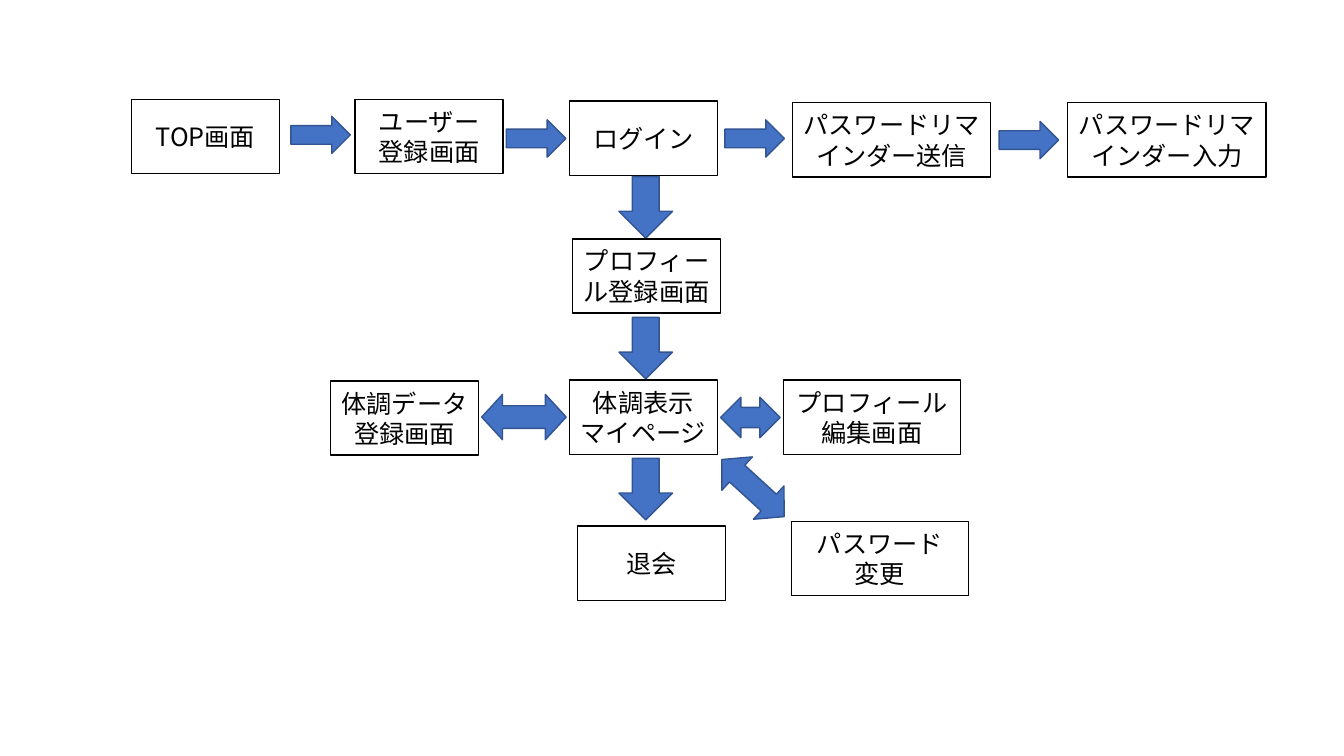
import pptx
import pptx.dml.color
import pptx.enum.shapes
import pptx.enum.text
import pptx.oxml
import pptx.oxml.ns
import pptx.util

Cm = pptx.util.Cm
MSO = pptx.enum.shapes.MSO_SHAPE
COLORS = {"paper": "FFFFFF", "ink": "000000", "arrow": "4472C4", "arrow_edge": "325491"}
FONT = "Noto Sans CJK JP"
SCREEN_HEIGHT = 1.87
NARROW, MEDIUM, WIDE = 3.73, 4.47, 5.0
STEP_SIZE = (1.5, 0.94)
DOWN_SIZE = (1.35, 1.55)
RETURN_SIZE = (2.13, 1.14)


def color(name):
    return pptx.dml.color.RGBColor.from_string(COLORS[name])


def add_outlined(slide, kind, box, fill, edge):
    outlined = slide.shapes.add_shape(kind, *(Cm(length) for length in box))
    outlined.shadow.inherit = False
    outlined.fill.solid()
    outlined.fill.fore_color.rgb = color(fill)
    outlined.line.color.rgb = color(edge)
    outlined.line.width = pptx.util.Pt(1)
    return outlined


def add_screen(slide, left, top, width, *lines):
    screen = add_outlined(slide, MSO.RECTANGLE, (left, top, width, SCREEN_HEIGHT), "paper", "ink")
    label = screen.text_frame
    label.word_wrap = True
    label.vertical_anchor = pptx.enum.text.MSO_ANCHOR.MIDDLE
    for number, line in enumerate(lines):
        paragraph = label.add_paragraph() if number else label.paragraphs[0]
        paragraph.alignment = pptx.enum.text.PP_ALIGN.CENTER
        run = paragraph.add_run()
        run.text = line
        run.font.size = pptx.util.Pt(18)
        run.font.name = FONT
        run.font.color.rgb = color("ink")
        east_asian = pptx.oxml.parse_xml(
            f'<a:ea {pptx.oxml.ns.nsdecls("a")} typeface="{FONT}"/>')
        run.font._element.append(east_asian)


def add_arrow(slide, kind, left, top, size, head=None, rotation=0):
    arrow = add_outlined(slide, kind, (left, top, *size), "arrow", "arrow_edge")
    arrow.rotation = rotation
    if head:
        arrow.adjustments[1] = head


def add_login_row(slide, left, top):
    screens = [
        (0, 0, NARROW, "TOP画面"),
        (5.64, 0, NARROW, "ユーザー", "登録画面"),
        (11.05, 0.04, NARROW, "ログイン"),
        (16.66, 0.08, WIDE, "パスワードリマインダー送信"),
        (23.6, 0.08, WIDE, "パスワードリマインダー入力"),
    ]
    for x, y, width, *lines in screens:
        add_screen(slide, left + x, top + y, width, *lines)
    for x, y in [(4.02, 0.42), (9.45, 0.51), (14.96, 0.51), (21.87, 0.55)]:
        add_arrow(slide, MSO.RIGHT_ARROW, left + x, top + y, STEP_SIZE)


def add_member_column(slide, left, top):
    screens = [
        (0.08, 1.57, "プロフィール登録画面"),
        (0, 5.13, "体調表示", "マイページ"),
        (0.2, 8.81, "退会"),
    ]
    for number, (x, y, *lines) in enumerate(screens):
        add_arrow(slide, MSO.DOWN_ARROW, left + 1.25, top + 3.55 * number, DOWN_SIZE)
        add_screen(slide, left + x, top + y, NARROW, *lines)


def add_my_page_branches(slide, left, top):
    add_screen(slide, left, top + 0.02, NARROW, "体調データ", "登録画面")
    add_screen(slide, left + 11.41, top, MEDIUM, "プロフィール編集画面")
    add_screen(slide, left + 11.61, top + 3.56, MEDIUM, "パスワード", "変更")
    add_arrow(slide, MSO.LEFT_RIGHT_ARROW, left + 3.81, top + 0.36, RETURN_SIZE, 0.46)
    add_arrow(slide, MSO.LEFT_RIGHT_ARROW, left + 9.83, top + 0.43, (1.5, 1.02))
    add_arrow(slide, MSO.LEFT_RIGHT_ARROW, left + 9.58, top + 2.15, RETURN_SIZE, 0.46, 42.5)


deck = pptx.Presentation()
deck.slide_width, deck.slide_height = Cm(33.87), Cm(19.05)
screen_flow = deck.slides.add_slide(deck.slide_layouts[6])
add_login_row(screen_flow, 3.31, 2.51)
add_member_column(screen_flow, 14.35, 4.45)
add_my_page_branches(screen_flow, 8.33, 9.58)
deck.save("out.pptx")
